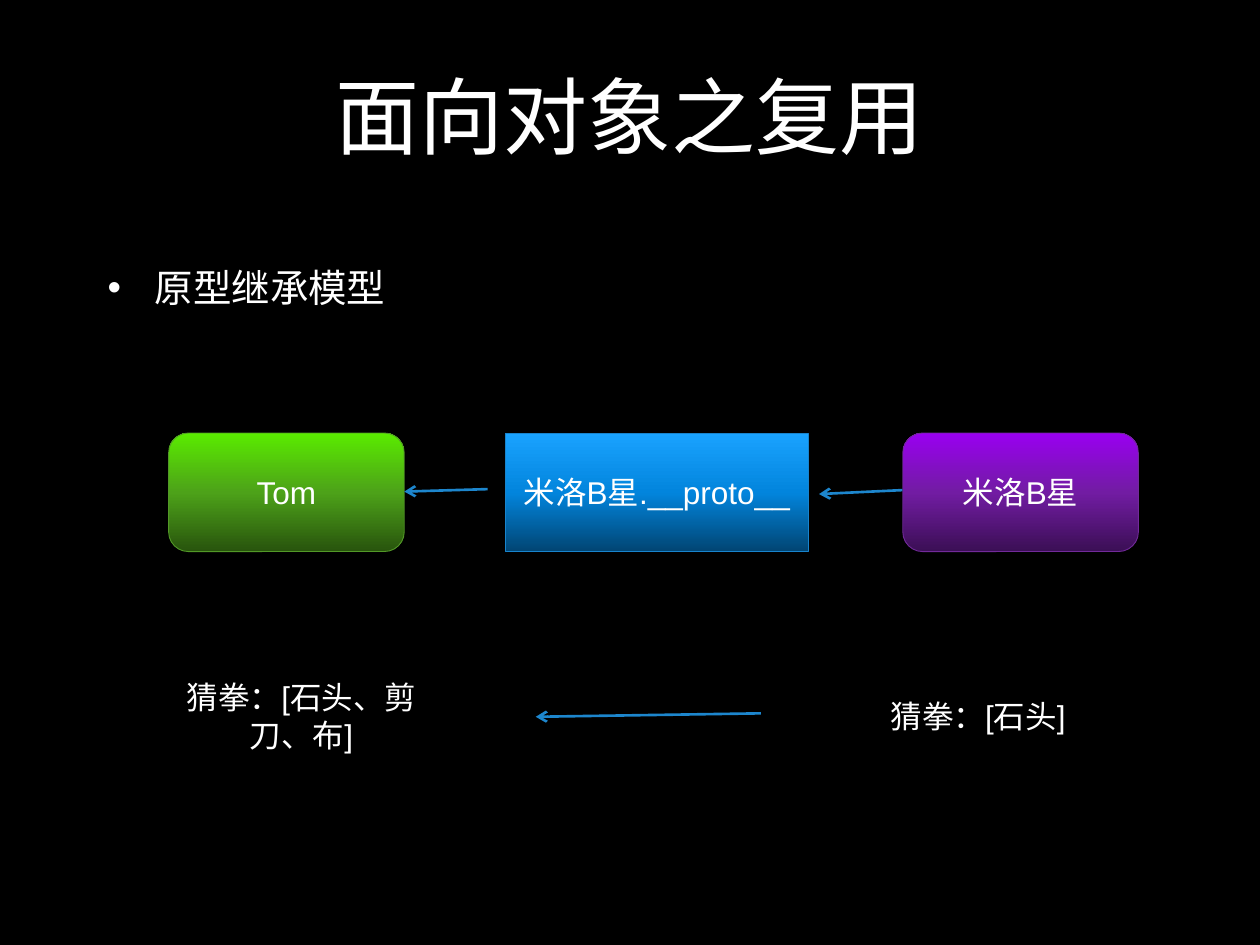
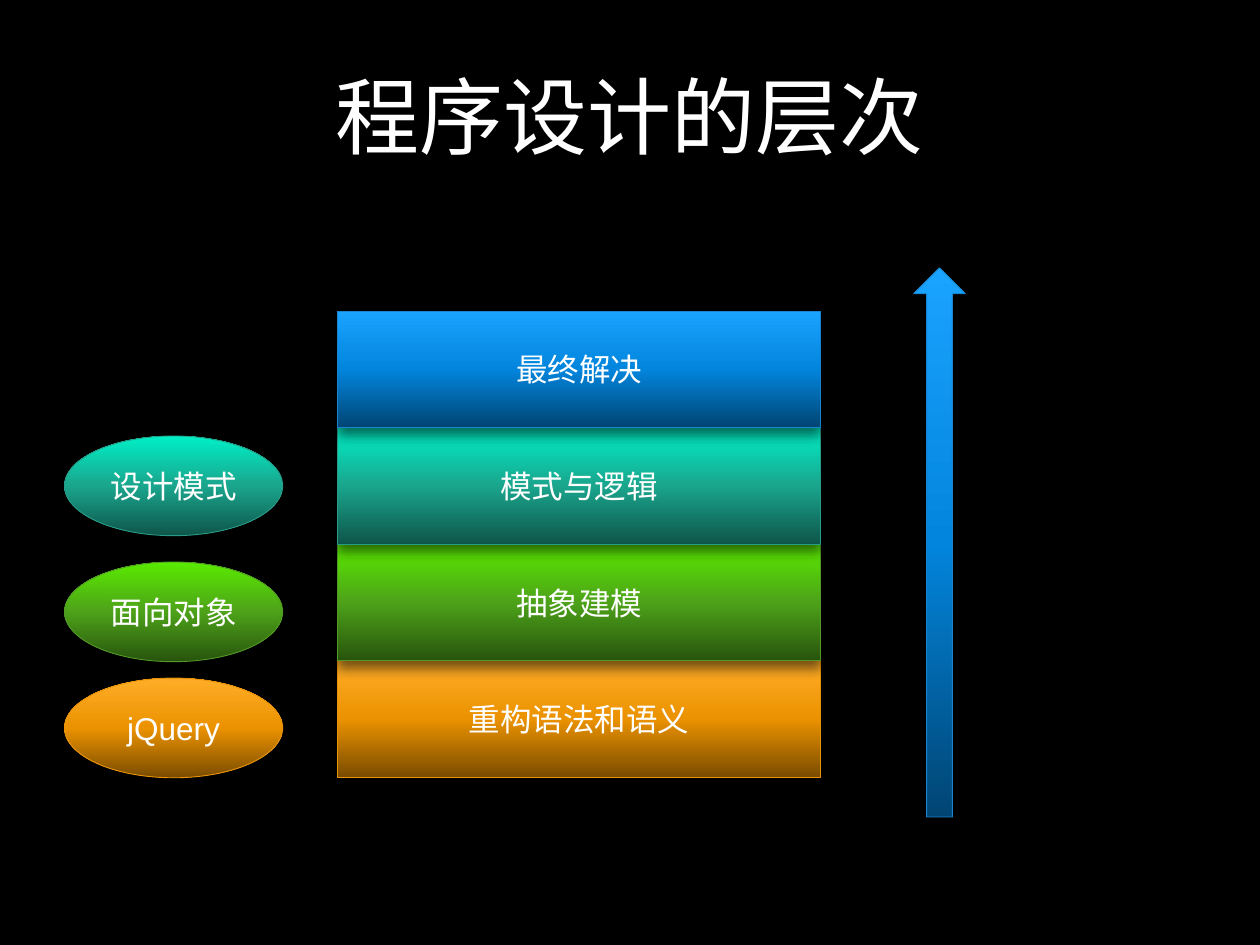
from dataclasses import dataclass

from copy import deepcopy
from lxml import etree
from pptx import Presentation
from pptx import util as u
from pptx.dml.color import RGBColor
from pptx.enum import shapes, text
from pptx.oxml import ns

Box = tuple[float, float, float, float]
KIND = shapes.MSO_SHAPE
ALIGN = text.PP_ALIGN
ANCHOR = text.MSO_ANCHOR
FONT, WHITE, BLACK, LINK = "Arial", "FFFFFF", "000000", "1D86CD"


@dataclass(frozen=True)
class Tone:
    """Gradient stops from bottom to top, and the outline."""
    stops: tuple[str, ...]
    edge: str


@dataclass(frozen=True)
class Node:
    """A filled shape with a centred label."""
    kind: KIND
    box: Box
    tone: Tone
    label: str = ""


@dataclass(frozen=True)
class Layer:
    """A level of the stack, and the oval beside it."""
    label: str
    tone: Tone
    topic: str = ""
    top: float = 0


BLUE = Tone(("014573", "0285DD", "1AA3FF"), "1884CD")
GREEN = Tone(("28540D", "4DA219", "5AEB00"), "529827")
PURPLE = Tone(("3B0F55", "721CA3", "9900F0"), "712A99")
TEAL = Tone(("0E564A", "1AA58D", "00F0C7"), "289B88")
ORANGE = Tone(("7A4C00", "EB9200", "FFAD28"), "E89308")
DARK = Tone((BLACK,), BLACK)

HERO = "米洛B星"
ROW, ROW_H = 8.73, 2.39
CHAIN = (
    Node(KIND.ROUNDED_RECTANGLE, (3.4, ROW, 4.75, ROW_H), GREEN, "Tom"),
    Node(KIND.RECTANGLE, (10.19, ROW, 6.1, ROW_H), BLUE, f"{HERO}.__proto__"),
    Node(KIND.ROUNDED_RECTANGLE, (18.2, ROW, 4.75, ROW_H), PURPLE, HERO),
    Node(KIND.OVAL, (2.31, 13.23, 7.54, ROW_H), DARK, "猜拳：[石头、剪刀、布]"),
    Node(KIND.OVAL, (15.95, 13.23, 7.54, ROW_H), DARK, "猜拳：[石头]"),
)
LINKS = (
    (9.83, 9.86, 8.15, 9.91),
    (18.19, 9.88, 16.51, 9.96),
    (15.34, 14.38, 10.8, 14.45),
)
LAYERS = (
    Layer("最终解决", BLUE),
    Layer("模式与逻辑", TEAL, "设计模式", 8.79),
    Layer("抽象建模", GREEN, "面向对象", 11.33),
    Layer("重构语法和语义", ORANGE, "jQuery", 13.67),
)
STACK, STEP = 6.27, 2.35


def rgb(code: str) -> RGBColor:
    """Turn a hex string into a colour."""
    return RGBColor.from_string(code)


def cm(vals: tuple[float, ...]) -> list[u.Cm]:
    """Turn numbers into lengths."""
    return [u.Cm(val) for val in vals]


def sub(root, tag: str, **attrs: str):
    """Append a drawing element."""
    return etree.SubElement(root, ns.qn(tag), attrs)


def write(frame, words: str, size: int, align: ALIGN, anchor: ANCHOR):
    """Fill a frame with one white paragraph."""
    frame.word_wrap = True
    frame.vertical_anchor = anchor
    para = frame.paragraphs[0]
    para.text = words
    para.alignment = align
    para.font.name = FONT
    para.font.size = u.Pt(size)
    para.font.color.rgb = rgb(WHITE)
    return para


def paint(fill, stops: tuple[str, ...]) -> None:
    """Fill with one colour or with a rising gradient."""
    if len(stops) == 1:
        fill.solid()
        fill.fore_color.rgb = rgb(stops[0])
        return
    fill.gradient()
    fill.gradient_angle = 90
    marks = fill._fill._gradFill.gsLst
    marks.insert(1, deepcopy(marks[0]))
    for i, (mark, code) in enumerate(zip(fill.gradient_stops, stops)):
        mark.position = i / (len(stops) - 1)
        mark.color.rgb = rgb(code)


def shade(shape) -> None:
    """Give a shape a soft black shadow."""
    shape.shadow.inherit = False
    root = shape._element.spPr.find(ns.qn("a:effectLst"))
    glow = sub(root, "a:outerShdw", blurRad=str(u.Pt(7)), dist=str(u.Pt(4)),
               dir="5400000", algn="t", rotWithShape="0")
    sub(sub(glow, "a:srgbClr", val=BLACK), "a:alpha", val="55000")


def draw(slide, node: Node) -> None:
    """Draw a node."""
    shape = slide.shapes.add_shape(node.kind, *cm(node.box))
    paint(shape.fill, node.tone.stops)
    shape.line.color.rgb = rgb(node.tone.edge)
    shape.line.width = u.Pt(0.5)
    shade(shape)
    if node.label:
        write(shape.text_frame, node.label, 18, ALIGN.CENTER, ANCHOR.MIDDLE)


def link(slide, ends: Box) -> None:
    """Draw an arrow between two points."""
    wire = slide.shapes.add_connector(shapes.MSO_CONNECTOR.STRAIGHT, *cm(ends))
    wire.line.color.rgb = rgb(LINK)
    wire.line.width = u.Pt(1.5)
    sub(wire.line._get_or_add_ln(), "a:tailEnd", type="arrow")
    sub(wire._element.spPr, "a:effectLst")


def start(deck, title: str):
    """Add a black slide with its title."""
    slide = deck.slides.add_slide(deck.slide_layouts[6])
    slide.background.fill.solid()
    slide.background.fill.fore_color.rgb = rgb(BLACK)
    head = slide.shapes.add_textbox(*cm((1.9, 0.33, 21.6, 3.96)))
    write(head.text_frame, title, 48, ALIGN.CENTER, ANCHOR.MIDDLE)
    return slide


def reuse(deck) -> None:
    """Build the prototype chain slide."""
    slide = start(deck, "面向对象之复用")
    body = slide.shapes.add_textbox(*cm((1.92, 5.2, 21.6, 11.84)))
    para = write(body.text_frame, "原型继承模型", 22, ALIGN.LEFT, ANCHOR.TOP)
    para.space_before = u.Pt(20)
    props = para._p.get_or_add_pPr()
    props.set("marL", str(u.Cm(0.95)))
    props.set("indent", str(u.Cm(-0.95)))
    last = props.find(ns.qn("a:defRPr"))
    last.addprevious(etree.Element(ns.qn("a:buFont"), typeface=FONT))
    last.addprevious(etree.Element(ns.qn("a:buChar"), char="•"))
    for node in CHAIN:
        draw(slide, node)
    for ends in LINKS:
        link(slide, ends)


def levels(deck) -> None:
    """Build the stack of design levels."""
    slide = start(deck, "程序设计的层次")
    for i, layer in reversed(list(enumerate(LAYERS))):
        box = (6.8, STACK + i * STEP, 9.75, STEP)
        draw(slide, Node(KIND.RECTANGLE, box, layer.tone, layer.label))
    draw(slide, Node(KIND.UP_ARROW, (18.42, 5.4, 1.04, 11.07), BLUE))
    for layer in reversed(LAYERS):
        if layer.topic:
            box = (1.3, layer.top, 4.4, 2.01)
            draw(slide, Node(KIND.OVAL, box, layer.tone, layer.topic))


def main() -> None:
    """Build and save the deck."""
    deck = Presentation()
    deck.slide_width, deck.slide_height = cm((25.4, 19.05))
    reuse(deck)
    levels(deck)
    deck.save("out.pptx")


if __name__ == "__main__":
    main()
